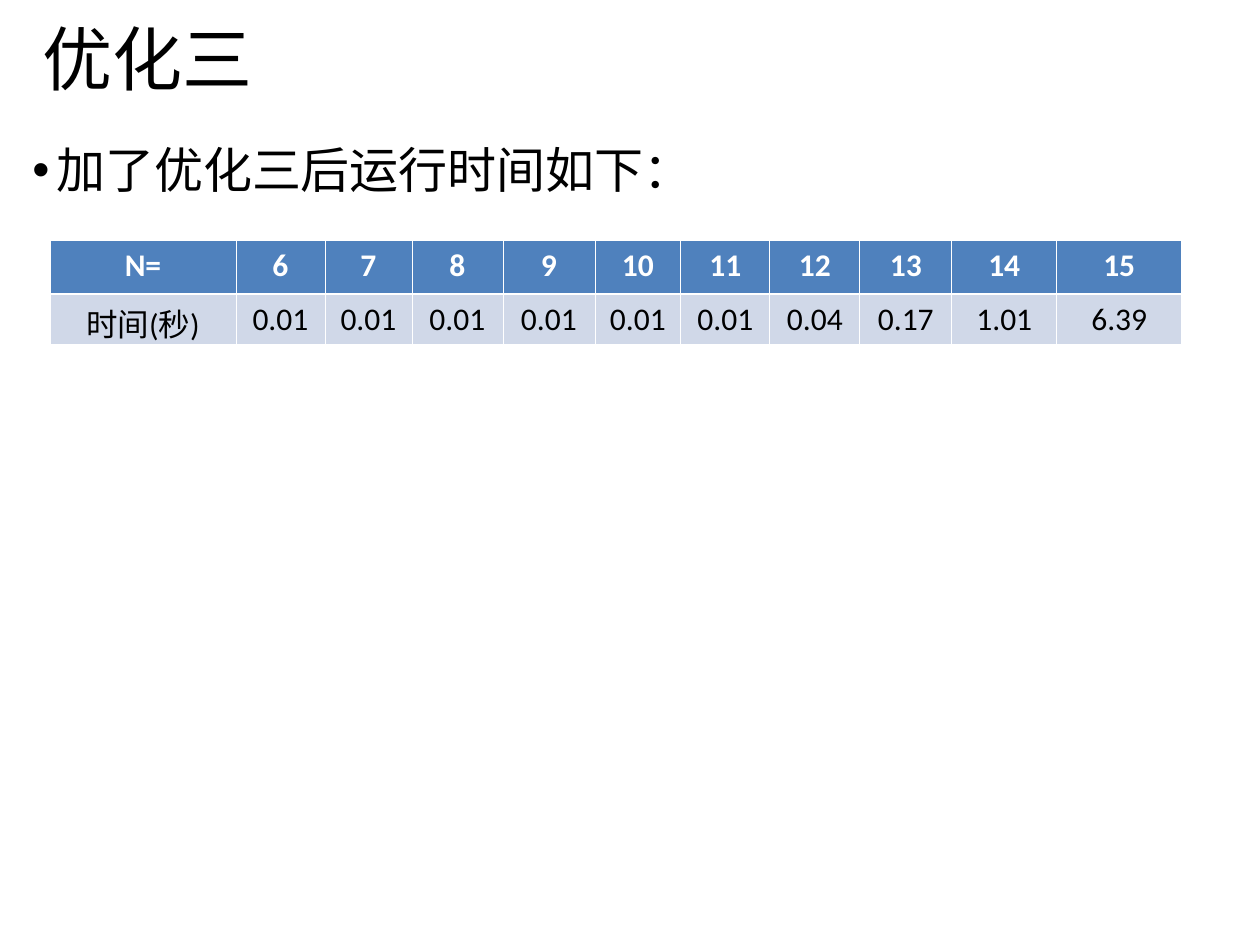
from lxml.etree import SubElement
from pptx import Presentation
from pptx.dml.color import RGBColor
from pptx.enum.text import MSO_ANCHOR, PP_ALIGN
from pptx.oxml.ns import qn
from pptx.util import Pt

PX = 914400 // 126
COLORS = {"ink": "000000", "paper": "FFFFFF", "header": "4F81BD", "band": "D0D8E8"}
LATIN, CJK = "Calibri", "Noto Sans CJK SC"
THIN, THICK = 0.45, 1.47

RUN_TIMES = {
    "N=": "时间(秒)",
    "6": "0.01", "7": "0.01", "8": "0.01", "9": "0.01", "10": "0.01",
    "11": "0.01", "12": "0.04", "13": "0.17", "14": "1.01", "15": "6.39",
}
COLUMN_WIDTHS = [186, 89, 87, 91, 92, 86, 89, 90, 92, 105, 125]
ROW_HEIGHTS = [54, 50]


class SlideBuilder:
    def __init__(self, width, height):
        self.deck = Presentation()
        self.deck.slide_width, self.deck.slide_height = width * PX, height * PX
        self.slide = self.deck.slides.add_slide(self.deck.slide_layouts[6])

    def style(self, paragraph, size, latin, color, bold=False):
        font = paragraph.font
        font.size, font.name, font.bold = Pt(size), latin, bold
        font.color.rgb = RGBColor.from_string(COLORS[color])
        defaults = paragraph._p.pPr.find(qn("a:defRPr"))
        SubElement(defaults, qn("a:ea"), typeface=CJK)

    def text(self, wording, left, top, width, height, size,
             anchor=MSO_ANCHOR.TOP, bullet_indent=0):
        frame = self.slide.shapes.add_textbox(
            left * PX, top * PX, width * PX, height * PX).text_frame
        frame.word_wrap, frame.vertical_anchor = True, anchor
        paragraph = frame.paragraphs[0]
        paragraph.text, paragraph.line_spacing = wording, 0.9
        if bullet_indent:
            properties = paragraph._p.get_or_add_pPr()
            properties.set("marL", str(bullet_indent * PX))
            properties.set("indent", str(-bullet_indent * PX))
            SubElement(properties, qn("a:buFont"), typeface="Arial")
            SubElement(properties, qn("a:buChar"), char="•")
        self.style(paragraph, size, CJK, "ink")

    def border(self, cell, side, width):
        line = SubElement(cell._tc.get_or_add_tcPr(), qn(f"a:ln{side}"), w=str(Pt(width)))
        fill = SubElement(line, qn("a:solidFill"))
        SubElement(fill, qn("a:srgbClr"), val=COLORS["paper"])

    def cell(self, cell, wording, is_header):
        for side in "LRTB":
            between_rows = side == ("B" if is_header else "T")
            self.border(cell, side, THICK if between_rows else THIN)
        cell.fill.solid()
        cell.fill.fore_color.rgb = RGBColor.from_string(
            COLORS["header" if is_header else "band"])
        cell.text = wording
        paragraph = cell.text_frame.paragraphs[0]
        paragraph.alignment = PP_ALIGN.CENTER
        self.style(paragraph, 18, LATIN, "paper" if is_header else "ink", is_header)

    def table(self, rows, left, top, widths, heights):
        table = self.slide.shapes.add_table(
            len(rows), len(widths), left * PX, top * PX,
            sum(widths) * PX, sum(heights) * PX).table
        for column, width in zip(table.columns, widths):
            column.width = width * PX
        for index, (row, height, wordings) in enumerate(zip(table.rows, heights, rows)):
            row.height = height * PX
            for cell, wording in zip(row.cells, wordings):
                self.cell(cell, wording, is_header=index == 0)


def main():
    builder = SlideBuilder(1260, 945)
    builder.text("优化三", 30, 10, 1134, 105, 40, anchor=MSO_ANCHOR.MIDDLE)
    builder.text("加了优化三后运行时间如下：", 20, 140, 1215, 764, 28, bullet_indent=24)
    builder.table([list(RUN_TIMES), list(RUN_TIMES.values())],
                  50, 240, COLUMN_WIDTHS, ROW_HEIGHTS)
    builder.deck.save("out.pptx")


if __name__ == "__main__":
    main()
